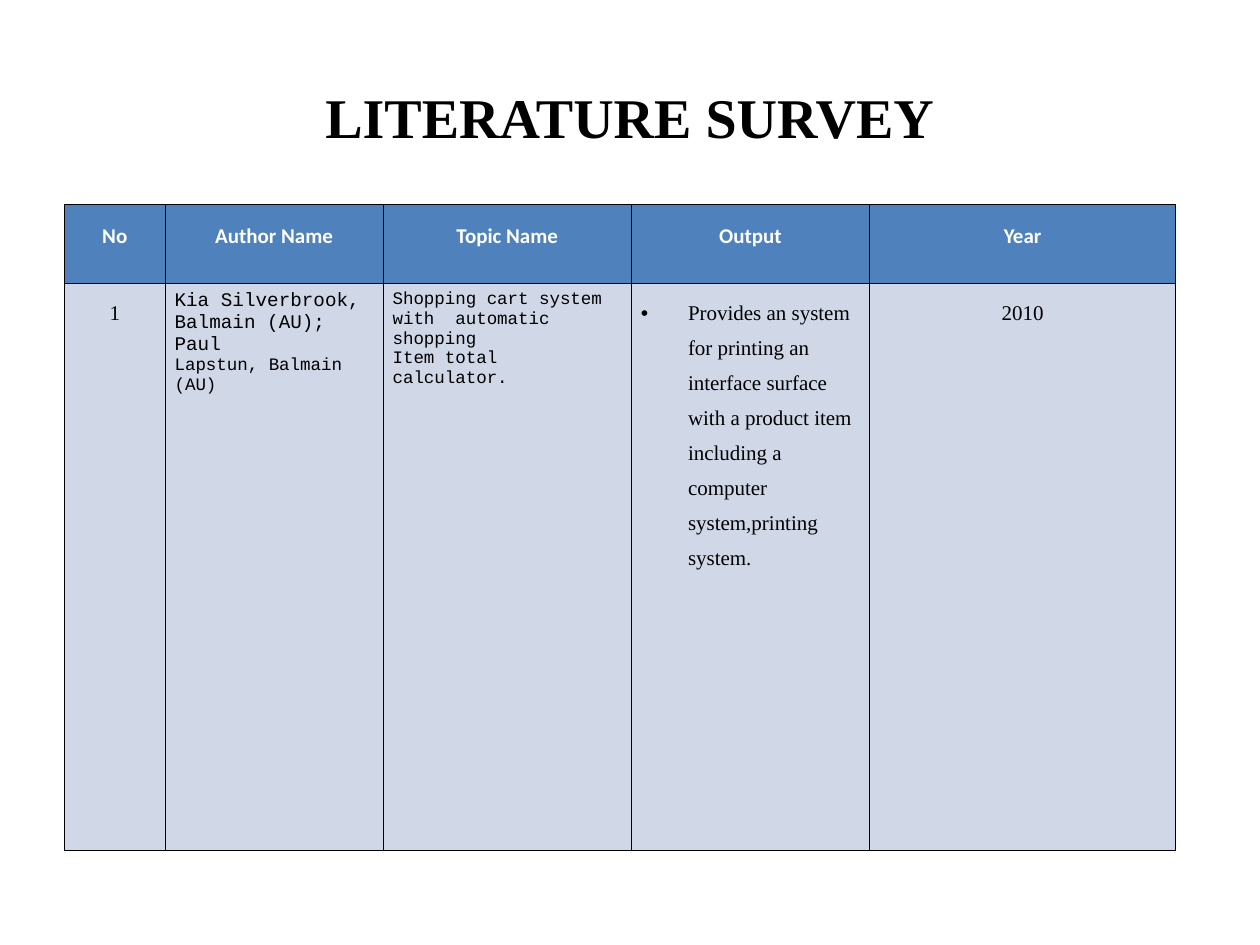
from lxml.etree import SubElement
from pptx import Presentation
from pptx.dml.color import RGBColor
from pptx.enum.text import MSO_ANCHOR, PP_ALIGN
from pptx.oxml import parse_xml
from pptx.oxml.ns import nsdecls, qn
from pptx.util import Pt

INK = {"black": "000000", "white": "FFFFFF", "head": "4F81BD", "body": "D0D8E8"}
SERIF, MONO = "Times New Roman", "Courier New"
MID = {"alignment": PP_ALIGN.CENTER, "line_spacing": 1.5}
TITLE = {"name": SERIF, "size": Pt(32), "bold": True}
HEAD = {"name": "Calibri", "size": Pt(12), "bold": True}
BODY = {"name": SERIF, "size": Pt(12), "bold": False}
CODE = {"name": MONO, "size": Pt(10), "bold": False}
LARGE = {**CODE, "size": Pt(11)}
INSET = {"margin_left": Pt(5.4), "margin_right": Pt(5.4),
         "margin_top": Pt(3.6), "margin_bottom": Pt(3.6)}
WIDTHS = [57.6, 124.6, 141.8, 136.1, 175]
HEIGHTS = [45.4, 324]
HEADS = ["No", "Author Name", "Topic Name", "Output", "Year"]
ENTRY = [
    [("1", BODY, MID)],
    [("Kia Silverbrook, Balmain (AU); Paul", LARGE, {}),
     ("Lapstun, Balmain (AU)", CODE, {})],
    [("Shopping cart system with  automatic shopping", CODE, {}),
     ("Item total calculator.", CODE, {})],
    [("Provides an system for printing an interface surface with a product item "
      "including a computer system,printing system.", BODY, {"line_spacing": 1.5})],
    [("2010", BODY, MID)],
]


def apply(item, style):
    """Set each format value on an item."""
    for key, value in style.items():
        setattr(item, key, value)


def write(frame, lines, color):
    """Fill a text frame with styled paragraphs."""
    for i, (text, font, form) in enumerate(lines):
        para = frame.add_paragraph() if i else frame.paragraphs[0]
        apply(para, form)
        run = para.add_run()
        run.text = text
        apply(run.font, font)
        run.font.color.rgb = RGBColor.from_string(INK[color])


def bullet(para, indent):
    """Give a paragraph a hanging round bullet."""
    props = para._p.get_or_add_pPr()
    props.set("marL", str(Pt(indent)))
    props.set("indent", str(-Pt(indent)))
    SubElement(props, qn("a:buFont"), typeface="Arial")
    SubElement(props, qn("a:buChar"), char="•")


def border(cell, width):
    """Draw a thin black line on all sides of a cell."""
    props = cell._tc.get_or_add_tcPr()
    for i, side in enumerate("LRTB"):
        props.insert(i, parse_xml(
            f'<a:ln{side} {nsdecls("a")} w="{Pt(width)}"><a:solidFill>'
            f'<a:srgbClr val="{INK["black"]}"/></a:solidFill></a:ln{side}>'))


def title(slide, x, y, w, h):
    """Place the centred heading in its box."""
    frame = slide.shapes.add_textbox(Pt(x), Pt(y), Pt(w), Pt(h)).text_frame
    apply(frame, {"word_wrap": True, "vertical_anchor": MSO_ANCHOR.MIDDLE})
    write(frame, [("LITERATURE SURVEY", TITLE, {"alignment": PP_ALIGN.CENTER})], "black")


def survey(slide, x, y):
    """Place the survey table with its top left corner at x, y."""
    rows = [[[(text, HEAD, MID)] for text in HEADS], ENTRY]
    table = slide.shapes.add_table(
        len(rows), len(WIDTHS), Pt(x), Pt(y), Pt(sum(WIDTHS)), Pt(sum(HEIGHTS))).table
    for col, width in zip(table.columns, WIDTHS):
        col.width = Pt(width)
    looks = [("head", "white"), ("body", "black")]
    for row, height, cells, (fill, color) in zip(table.rows, HEIGHTS, rows, looks):
        row.height = Pt(height)
        for cell, lines in zip(row.cells, cells):
            apply(cell, INSET)
            cell.fill.solid()
            cell.fill.fore_color.rgb = RGBColor.from_string(INK[fill])
            border(cell, 0.45)
            write(cell.text_frame, lines, color)
    bullet(table.cell(1, HEADS.index("Output")).text_frame.paragraphs[0], 27)


def main():
    """Build the slide and save it."""
    deck = Presentation()
    apply(deck, {"slide_width": Pt(720), "slide_height": Pt(540)})
    slide = deck.slides.add_slide(deck.slide_layouts[6])
    title(slide, 36, 21.6, 648, 90)
    survey(slide, 36.8, 116.8)
    deck.save("out.pptx")


if __name__ == "__main__":
    main()
